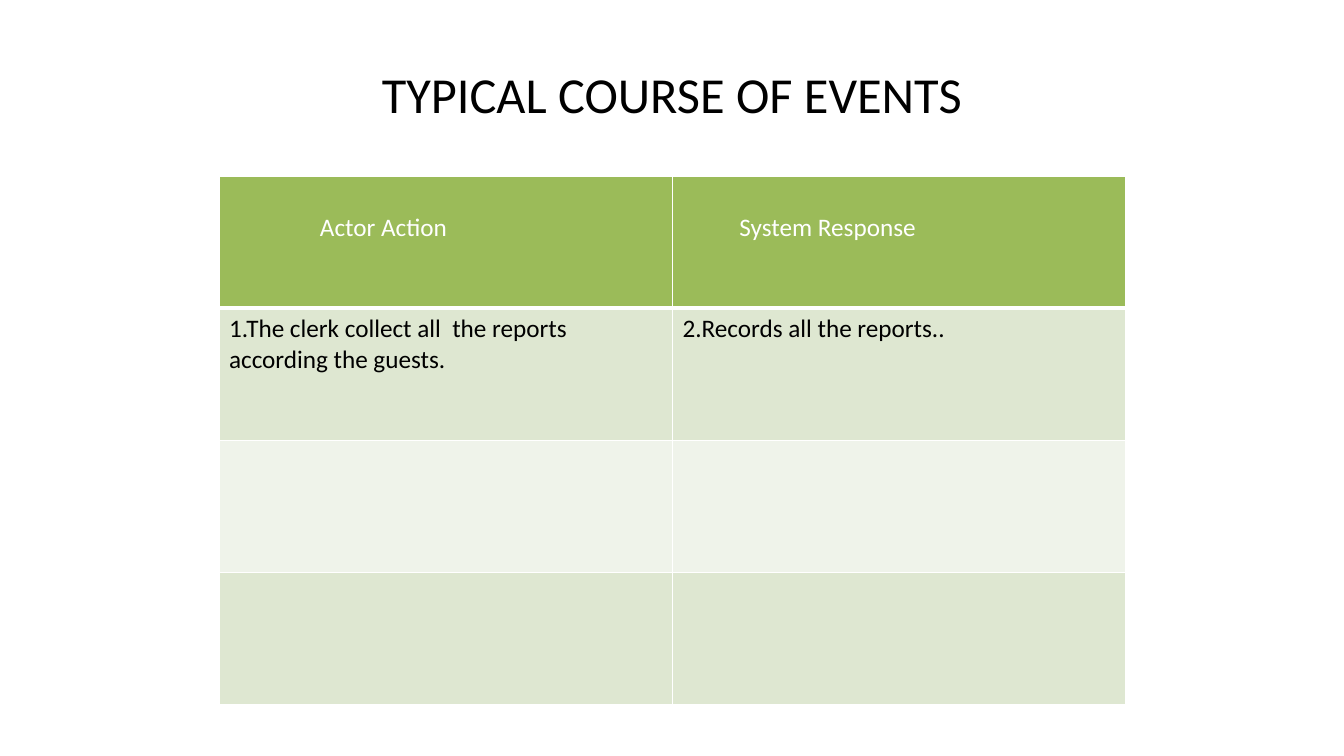
from lxml import etree
from pptx import Presentation
from pptx import util as u
from pptx.dml.color import RGBColor
from pptx.enum import text
from pptx.oxml import ns

PX = 914400 / 100.8
WHITE, BLACK = "FFFFFF", "000000"
GREEN, LIGHT, PALE = "9BBB59", "DEE7D1", "EFF3EA"
HEADINGS = [("Actor Action", 101), ("System Response", 67)]
STEPS = [
    ["1.The clerk collect all  the reports according the guests.", "2.Records all the reports.."],
    ["", ""],
    ["", ""],
]


def px(length):
    return u.Emu(round(length * PX))


def colour(code):
    return RGBColor.from_string(code)


def apply(target, formats):
    for name, value in formats.items():
        setattr(target, name, value)


def write(para, words, size, code):
    apply(para.font, {"size": u.Pt(size), "name": "Calibri", "bold": False})
    if words:
        span = para.add_run()
        span.text = words
        apply(span.font, {"size": u.Pt(size), "name": "Calibri", "bold": False})
        span.font.color.rgb = colour(code)


def add_border(cell, side, points):
    properties = cell._tc.get_or_add_tcPr()
    line = etree.SubElement(properties, ns.qn("a:ln" + side), w=str(u.Pt(points)))
    fill = etree.SubElement(line, ns.qn("a:solidFill"))
    etree.SubElement(fill, ns.qn("a:srgbClr"), val=WHITE)


def fill_cell(cell, words, code, background, bottom=1):
    for side, points in {"L": 1, "R": 1, "T": 1, "B": bottom}.items():
        add_border(cell, side, points)
    cell.fill.solid()
    cell.fill.fore_color.rgb = colour(background)
    write(cell.text_frame.paragraphs[0], words, 18, code)


def add_title(page, left, top, width, height):
    box = page.shapes.add_textbox(px(left), px(top), px(width), px(height))
    apply(box.text_frame, {
        "word_wrap": True,
        "vertical_anchor": text.MSO_ANCHOR.MIDDLE,
        "margin_left": px(14), "margin_right": px(14),
        "margin_top": px(7), "margin_bottom": px(7),
    })
    para = box.text_frame.paragraphs[0]
    para.alignment = text.PP_ALIGN.CENTER
    write(para, "TYPICAL COURSE OF EVENTS", 36, BLACK)


def add_events(page, left, top, width, height):
    rows, columns = len(STEPS) + 1, len(HEADINGS)
    table = page.shapes.add_table(rows, columns, px(left), px(top), px(width), px(height)).table
    for column in table.columns:
        column.width = px(width / columns)
    for row in table.rows:
        row.height = px(height / rows)
    for index, (heading, indent) in enumerate(HEADINGS):
        cell = table.cell(0, index)
        apply(cell, {"margin_left": px(indent), "margin_top": px(36)})
        fill_cell(cell, heading, WHITE, GREEN, bottom=3)
    for number, step in enumerate(STEPS, 1):
        for index, words in enumerate(step):
            fill_cell(table.cell(number, index), words, BLACK, LIGHT if number % 2 else PALE)


def main():
    deck = Presentation()
    apply(deck, {"slide_width": px(1344), "slide_height": px(756)})
    page = deck.slides.add_slide(deck.slide_layouts[6])
    add_title(page, 67, 30, 1210, 126)
    add_events(page, 219, 176, 907, 529)
    deck.save("out.pptx")


if __name__ == "__main__":
    main()
